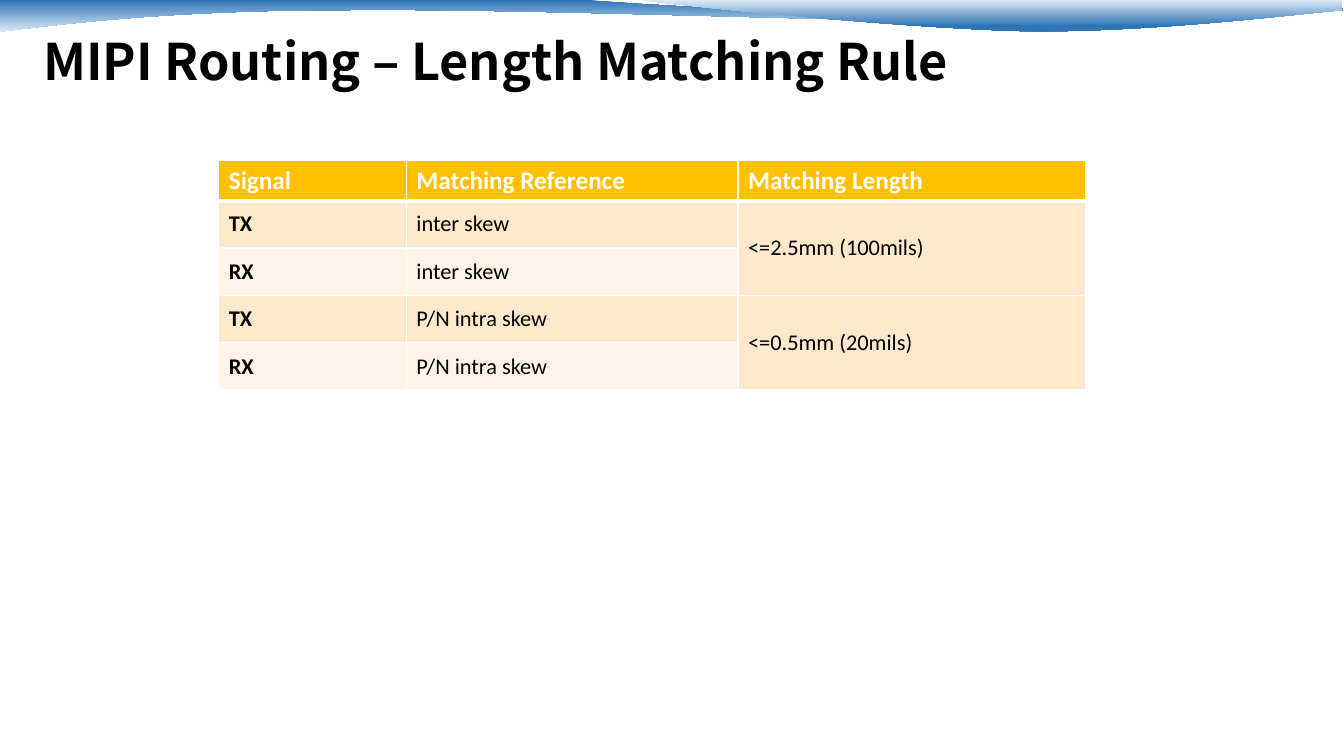
from lxml.etree import SubElement
from pptx import Presentation
from pptx.dml.color import RGBColor
from pptx.enum.text import MSO_ANCHOR
from pptx.oxml.ns import qn
from pptx.util import Inches, Pt

COLORS = {"deep": "2E75B6", "pale": "DEEBF7", "header": "FFC000", "odd": "FFE8CC",
          "even": "FFF4E7", "white": "FFFFFF", "black": "000000"}
TITLE = "MIPI Routing – Length Matching Rule"
ROWS = [
    ("Signal", "Matching Reference", "Matching Length"),
    ("TX", "inter skew", "<=2.5mm (100mils)"),
    ("RX", "inter skew", ""),
    ("TX", "P/N intra skew", "<=0.5mm (20mils)"),
    ("RX", "P/N intra skew", ""),
]
COLUMN_WIDTHS = (1.86, 3.29, 3.45)
HEADER_HEIGHT, ROW_HEIGHT, TABLE_HEIGHT = 0.27, 0.47, 2.29
WAVES = [
    {"start": (-0.03, 0),
     "segments": [
         [(5.84, 0)],
         [(6.32, 0.05), (8.82, 0.18), (10.09, 0.18)],
         [(11.35, 0.18), (12.75, 0.07), (13.31, 0.03)],
         [(13.32, 0.1)],
         [(13.09, 0.13), (11.57, 0.22), (9.92, 0.22)],
         [(8.27, 0.21), (5.06, 0.08), (3.4, 0.1)],
         [(1.7, 0.1), (0.59, 0.24), (-0.04, 0.32)]],
     "stops": [(0, "deep"), (1, "pale")]},
    {"start": (6.36, 0),
     "segments": [
         [(6.77, 0.06), (9.07, 0.29), (10.22, 0.31)],
         [(11.38, 0.32), (12.79, 0.15), (13.31, 0.1)],
         [(13.31, 0)]],
     "stops": [(0, "pale"), (0.8, "deep")]},
]


def color(name):
    return RGBColor.from_string(COLORS[name])


def bend(shape, segments):
    lines = iter(list(shape._element.iter(qn("a:lnTo"))))
    for segment in segments:
        corners = [next(lines) for _ in segment]
        if len(corners) == 3:
            curve = corners[0]
            curve.tag = qn("a:cubicBezTo")
            for corner in corners[1:]:
                curve.append(corner[0])
                corner.getparent().remove(corner)


def add_wave(page, wave):
    left, top = wave["start"]
    builder = page.shapes.build_freeform(Inches(left), Inches(top))
    points = [(Inches(x), Inches(y)) for segment in wave["segments"] for x, y in segment]
    builder.add_line_segments(points, close=True)
    shape = builder.convert_to_shape()
    bend(shape, wave["segments"])
    shape.shadow.inherit = False
    shape.line.fill.background()
    shape.fill.gradient()
    shape.fill.gradient_angle = 270
    for stop, (position, name) in zip(shape.fill.gradient_stops, wave["stops"]):
        stop.position = position
        stop.color.rgb = color(name)


def write(para, text, font_color, **font_values):
    span = para.add_run()
    span.text = text
    span.font.color.rgb = color(font_color)
    for name, value in font_values.items():
        setattr(span.font, name, value)


def add_title(page):
    box = page.shapes.add_textbox(Inches(0.33), Inches(0.12), Inches(12.26), Inches(0.79))
    frame = box.text_frame
    settings = {"word_wrap": True, "vertical_anchor": MSO_ANCHOR.BOTTOM,
                "margin_top": 0, "margin_bottom": 0}
    for name, value in settings.items():
        setattr(frame, name, value)
    para = frame.paragraphs[0]
    para.line_spacing = 0.9
    write(para, TITLE, "black", name="Noto Sans CJK TC", size=Pt(36), bold=True)


def set_borders(cell, widths):
    properties = cell._tc.get_or_add_tcPr()
    for index, (side, width) in enumerate(widths.items()):
        line = SubElement(properties, qn(f"a:ln{side}"), w=str(Pt(width)))
        fill = SubElement(line, qn("a:solidFill"))
        SubElement(fill, qn("a:srgbClr"), val=COLORS["white"])
        properties.remove(line)
        properties.insert(index, line)


def add_rules(page):
    heights = [HEADER_HEIGHT] + [ROW_HEIGHT] * (len(ROWS) - 1)
    frame = page.shapes.add_table(len(ROWS), len(COLUMN_WIDTHS), Inches(2.17), Inches(1.59),
                                  Inches(sum(COLUMN_WIDTHS)), Inches(TABLE_HEIGHT))
    table = frame.table
    for column, width in zip(table.columns, COLUMN_WIDTHS):
        column.width = Inches(width)
    for row, height in zip(table.rows, heights):
        row.height = Inches(height)
    frame.height = Inches(TABLE_HEIGHT)
    for first in (1, 3):
        table.cell(first, 2).merge(table.cell(first + 1, 2))
    for r, texts in enumerate(ROWS):
        header = r == 0
        for c, text in enumerate(texts):
            cell = table.cell(r, c)
            cell.vertical_anchor = MSO_ANCHOR.TOP if header else MSO_ANCHOR.MIDDLE
            cell.fill.solid()
            band = "odd" if r % 2 or c == 2 else "even"
            cell.fill.fore_color.rgb = color("header" if header else band)
            top, bottom = (3 if r == 1 else 1), (3 if header else 1)
            set_borders(cell, {"L": 1, "R": 1, "T": top, "B": bottom})
            if text:
                write(cell.text_frame.paragraphs[0], text, "white" if header else "black",
                      name="Calibri", size=Pt(18 if header else 16), bold=header or c == 0)


def main():
    deck = Presentation()
    deck.slide_width, deck.slide_height = Inches(13.33), Inches(7.5)
    page = deck.slides.add_slide(deck.slide_layouts[6])
    for wave in WAVES:
        add_wave(page, wave)
    add_title(page)
    add_rules(page)
    deck.save("out.pptx")


if __name__ == "__main__":
    main()
